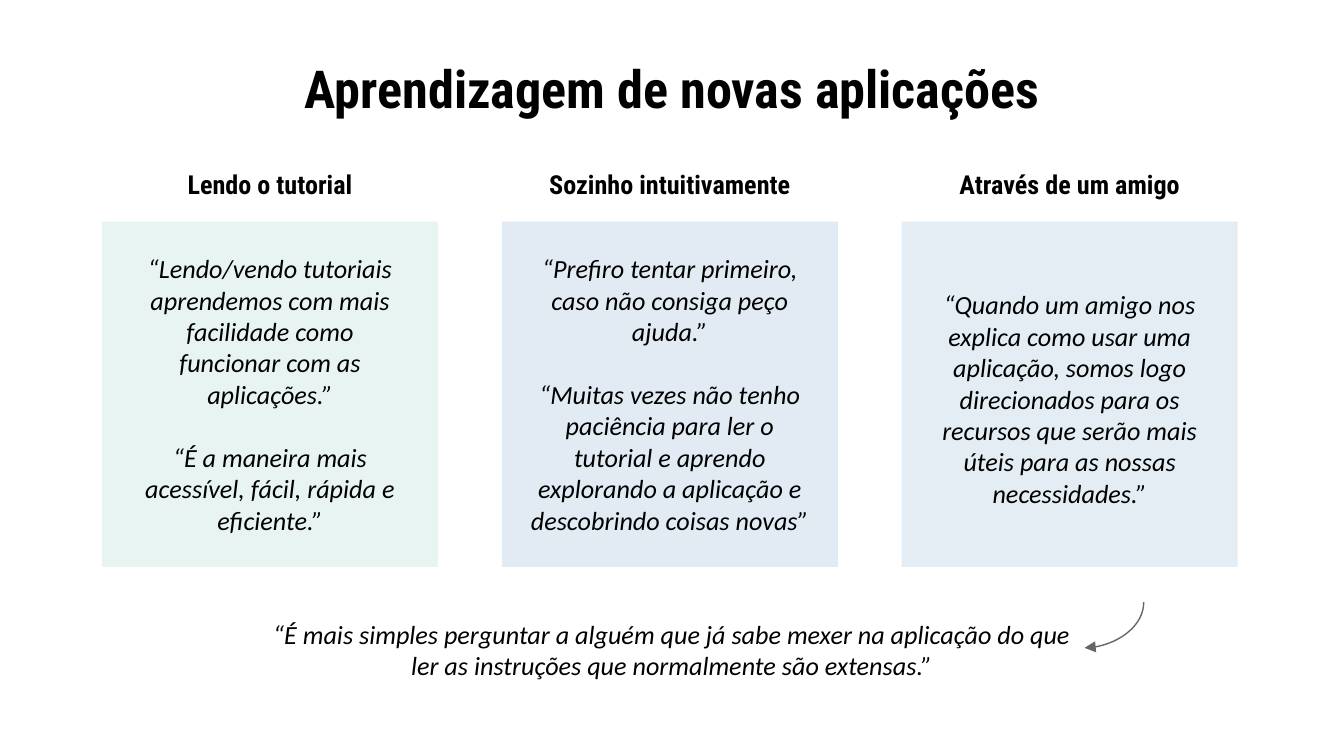
from lxml import etree
from pptx import Presentation
from pptx.dml.color import RGBColor
from pptx.enum.shapes import MSO_CONNECTOR, MSO_SHAPE
from pptx.enum.text import MSO_ANCHOR, MSO_AUTO_SIZE, PP_ALIGN
from pptx.oxml.ns import qn
from pptx.util import Pt

RECT, CURVE = MSO_SHAPE.RECTANGLE, MSO_CONNECTOR.CURVE
TOP, MIDDLE = MSO_ANCHOR.TOP, MSO_ANCHOR.MIDDLE
CENTER, FIXED = PP_ALIGN.CENTER, MSO_AUTO_SIZE.NONE

HEAD, BODY = "Roboto Condensed", "Calibri"
COLORS = {"text": "000000", "line": "666666", "green": "4CAE9B",
          "blue": "2267A6", "teal": "2C79A3"}

# heading, card colour, side padding, top padding, quotes
COLUMNS = [
    ("Lendo o tutorial", "green", 11.5, 13,
     ["“Lendo/vendo tutoriais aprendemos com mais facilidade como funcionar com as aplicações.”",
      "“É a maneira mais acessível, fácil, rápida e eficiente.”"]),
    ("Sozinho intuitivamente", "blue", 6.5, 13,
     ["“Prefiro tentar primeiro, caso não consiga peço ajuda.”",
      "“Muitas vezes não tenho paciência para ler o tutorial e aprendo explorando a aplicação e "
      "descobrindo coisas novas”"]),
    ("Através de um amigo", "teal", 11.5, 32.4,
     ["“Quando um amigo nos explica como usar uma aplicação, somos logo direcionados para os "
      "recursos que serão mais úteis para as nossas necessidades.”"]),
]
REMARK = ("“É mais simples perguntar a alguém que já sabe mexer na aplicação do que ler as "
          "instruções que normalmente são extensas.”")


def rgb(name):
    return RGBColor.from_string(COLORS[name])


def write(frame, lines, font, size, bold=False, italic=False, anchor=TOP):
    """Fill a text frame with centred paragraphs, one line apart."""
    frame.text = "\n".join(lines)
    frame.word_wrap = True
    frame.auto_size = FIXED
    frame.vertical_anchor = anchor
    for i, para in enumerate(frame.paragraphs):
        para.alignment = CENTER
        para.space_before = Pt(17 if i else 0)
        for run in para.runs:
            run.font.name, run.font.size = font, Pt(size)
            run.font.bold, run.font.italic = bold, italic
            run.font.color.rgb = rgb("text")


def add_title(slide, text, x, y, w, h):
    title = slide.shapes.title
    title.left, title.top, title.width, title.height = Pt(x), Pt(y), Pt(w), Pt(h)
    write(title.text_frame, [text], HEAD, 28, bold=True, anchor=MIDDLE)


def add_text(slide, lines, x, y, w, h, **style):
    box = slide.shapes.add_textbox(Pt(x), Pt(y), Pt(w), Pt(h))
    write(box.text_frame, lines, size=14, **style)


def add_card(slide, color, x, y, w, h):
    card = slide.shapes.add_shape(RECT, Pt(x), Pt(y), Pt(w), Pt(h))
    card.shadow.inherit = False
    card.line.fill.background()
    card.fill.solid()
    card.fill.fore_color.rgb = rgb(color)
    tint = card._element.spPr.find(".//" + qn("a:srgbClr"))
    etree.SubElement(tint, qn("a:alpha"), val="13000")


def add_column(slide, column, x, y, w, h):
    """Place a heading with a tinted card of quotes below it."""
    heading, color, side, top, quotes = column
    drop = 32.4
    add_text(slide, [heading], x, y, w, 24.5, font=HEAD, bold=True, anchor=MIDDLE)
    add_card(slide, color, x, y + drop, w, h - drop)
    add_text(slide, quotes, x + side, y + drop + top, w - 2 * side,
             h - drop - top - 12, font=BODY, italic=True)


def add_arrow(slide, x, y, w, h):
    """Curve from the box's top right corner down to its bottom left."""
    left, top = x + (w - h) / 2, y + (h - w) / 2
    arrow = slide.shapes.add_connector(CURVE, Pt(left), Pt(top), Pt(left + h), Pt(top + w))
    arrow.line.color.rgb = rgb("line")
    arrow.line.width = Pt(0.75)
    props = arrow._element.spPr
    props.find(qn("a:xfrm")).set("rot", "5400000")
    props.find(qn("a:prstGeom")).set("prst", "curvedConnector2")
    etree.SubElement(props.find(qn("a:ln")), qn("a:tailEnd"), type="triangle")
    etree.SubElement(props, qn("a:effectLst"))


def main():
    deck = Presentation()
    deck.slide_width, deck.slide_height = Pt(720), Pt(405)
    slide = deck.slides.add_slide(deck.slide_layouts[5])
    add_title(slide, "Aprendizagem de novas aplicações", 36, 32.4, 648, 29.5)
    for i, column in enumerate(COLUMNS):
        add_column(slide, column, 54.7 + 214.2 * i, 86.4, 180, 217.4)
    add_text(slide, [REMARK], 139, 327.6, 442, 41, font=BODY, italic=True)
    add_arrow(slide, 581, 322.6, 31.7, 24.5)
    deck.save("out.pptx")


if __name__ == "__main__":
    main()
